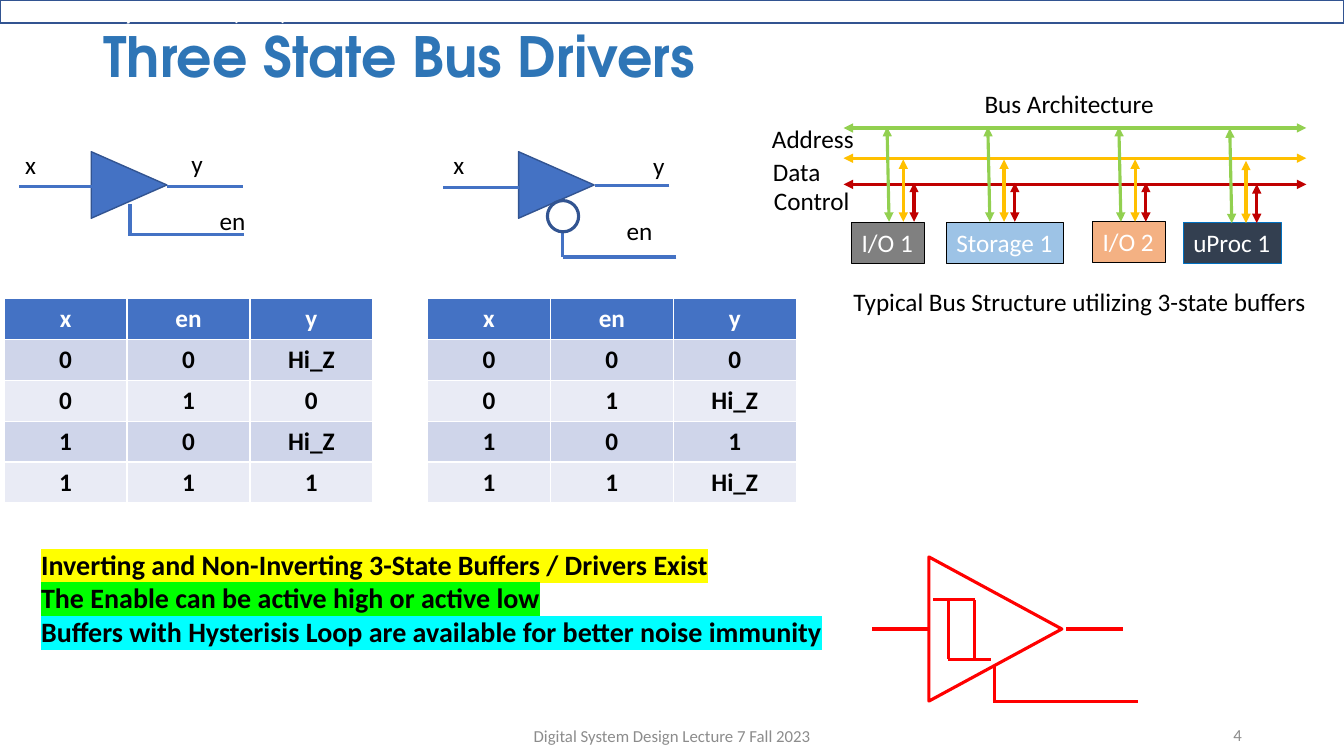
from copy import deepcopy

from lxml import etree
from pptx import Presentation
from pptx import util as u
from pptx.dml.color import RGBColor
from pptx.enum import shapes, text
from pptx.oxml.ns import qn

COLORS = {
    "white": "FFFFFF", "black": "000000", "title": "2E75B6", "muted": "8C8C8C",
    "blue": "4472C4", "outline": "325491", "band_dark": "CFD5EA", "band_light": "E9EBF5",
    "sky": "ABC0E4", "navy": "002060", "haze": "7E9ED6",
    "green": "92D050", "amber": "FFC000", "crimson": "C00000", "red": "FF0000",
    "gray": "808080", "slate": "333F50", "peach": "F4B183", "light_blue": "9DC3E6",
    "azure": "0070C0", "yellow_mark": "FFFF00", "green_mark": "00FF00", "cyan_mark": "00FFFF",
}
ALIGN = text.PP_ALIGN
ANCHOR = text.MSO_ANCHOR
SHAPE = shapes.MSO_SHAPE


def rgb(name):
    return RGBColor.from_string(COLORS[name])


def write(frame, content, size=18, color="black", bold=False, font="Calibri",
          align=ALIGN.LEFT, anchor=ANCHOR.TOP, wrap=False, spacing=None, marks=()):
    frame.word_wrap = wrap
    frame.vertical_anchor = anchor
    for index, line in enumerate(content.split("\n")):
        paragraph = frame.add_paragraph() if index else frame.paragraphs[0]
        paragraph.alignment = align
        if spacing:
            paragraph.line_spacing = spacing
        run = paragraph.add_run()
        run.text = line
        run.font.size, run.font.bold, run.font.name = u.Pt(size), bold, font
        run.font.color.rgb = rgb(color)
        if marks:
            highlight = etree.Element(qn("a:highlight"))
            etree.SubElement(highlight, qn("a:srgbClr"), val=COLORS[marks[index]])
            run.font._element.find(qn("a:solidFill")).addnext(highlight)


def add_text(slide, box, content, **style):
    shape = slide.shapes.add_textbox(*map(u.Pt, box))
    write(shape.text_frame, content, **style)


def add_shape(slide, kind, box, fill=None, line="outline", weight=1):
    shape = slide.shapes.add_shape(kind, *map(u.Pt, box))
    shape.shadow.inherit = False
    if fill:
        shape.fill.solid()
        shape.fill.fore_color.rgb = rgb(fill)
    else:
        shape.fill.background()
    shape.line.color.rgb = rgb(line)
    shape.line.width = u.Pt(weight)
    return shape


def add_triangle(slide, left, top, width, height, **style):
    shift = (width - height) / 2
    box = (left + shift, top - shift, height, width)
    add_shape(slide, SHAPE.ISOSCELES_TRIANGLE, box, **style).rotation = 90


def add_wire(slide, left, top, ends, color="blue", arrows=False):
    x1, y1, x2, y2 = ends
    points = (left + x1, top + y1, left + x2, top + y2)
    wire = slide.shapes.add_connector(shapes.MSO_CONNECTOR.STRAIGHT, *map(u.Pt, points))
    wire.line.color.rgb = rgb(color)
    wire.line.width = u.Pt(2.25)
    if arrows:
        for end in ("a:headEnd", "a:tailEnd"):
            etree.SubElement(wire.line._get_or_add_ln(), qn(end), type="triangle")
    etree.SubElement(wire._element.spPr, qn("a:effectLst"))


def add_header(slide, width, height):
    band = add_shape(slide, SHAPE.RECTANGLE, (0, 0, width, height))
    band.fill.gradient()
    band.fill.gradient_angle = 270
    stop_list = band._element.spPr.find(".//" + qn("a:gsLst"))
    stop_list.append(deepcopy(stop_list[-1]))
    stops = (("sky", 0.02), ("navy", 0.38), ("haze", 0.93))
    for stop, (color, position) in zip(band.fill.gradient_stops, stops):
        stop.color.rgb = rgb(color)
        stop.position = position
    etree.SubElement(stop_list[-1][0], qn("a:alpha"), val="64000")
    write(band.text_frame, "Embedded Systems Lab (EESL)", size=16, color="white",
          bold=True, anchor=ANCHOR.MIDDLE)


def add_truth_table(slide, left, top, outputs):
    rows = [("x", "en", "y")]
    rows += [(str(i // 2), str(i % 2), output) for i, output in enumerate(outputs)]
    box = (left, top, 263.3, 146.2)
    table = slide.shapes.add_table(len(rows), 3, *map(u.Pt, box)).table
    for r, row in enumerate(rows):
        fill = "blue" if r == 0 else ("band_dark" if r % 2 else "band_light")
        for c, value in enumerate(row):
            cell = table.cell(r, c)
            cell.fill.solid()
            cell.fill.fore_color.rgb = rgb(fill)
            write(cell.text_frame, value, bold=True, align=ALIGN.CENTER, wrap=True,
                  color="black" if r else "white")


def add_buffer(slide, left, top, wires, labels, bubble=None):
    add_triangle(slide, left, top, 54, 47.5, fill="blue")
    for ends in wires:
        add_wire(slide, left, top, ends)
    for name, width, x, y in labels:
        add_text(slide, (left + x, top + y, width, 29), name)
    if bubble:
        x, y, size = bubble
        add_shape(slide, SHAPE.OVAL, (left + x, top + y, size, size), weight=2.25)


def add_bus(slide, left, top):
    buses = (("Address", 73.4, -58.3, "green", 0),
             ("Data", 49, -57.6, "amber", 21.6),
             ("Control", 69.1, -56.9, "crimson", 40.3))
    for name, width, x, color, y in buses:
        add_wire(slide, left, top, (0, y, 330.5, y), color, arrows=True)
        add_text(slide, (left + x, top + y * 1.09 - 6.7, width, 29), name)
    devices = (("I/O 1", 5.8, 67.7, 51.8, "gray", "black", 31, 0),
               ("Storage 1", 73.4, 67.7, 83.5, "light_blue", "black", 103, 0),
               ("I/O 2", 177.9, 67, 51.8, "peach", "black", 196.6, 0),
               ("uProc 1", 242.7, 67.7, 69.8, "slate", "azure", 275.8, 1))
    for name, x, y, width, fill, line, tap, drop in devices:
        box = (left + x, top + y, width, 29)
        device = add_shape(slide, SHAPE.RECTANGLE, box, fill, line, 0.5)
        write(device.text_frame, name, color="white")
        taps = (("crimson", 19.3, 19.3, 39.2), ("amber", 11.6, 11.6, 22.5), ("green", 0, 1.5, -0.7))
        for color, start, end, height in taps:
            ends = (tap + start, height + drop, tap + end, 67 + drop)
            add_wire(slide, left, top, ends, color, arrows=True)
    add_text(slide, (left + 93.6, top - 31.7, 136.8, 29), "Bus Architecture")
    add_text(slide, (left, top + 109.4, 341.3, 29),
             "Typical Bus Structure utilizing 3-state buffers")


def add_hysteresis_buffer(slide, left, top):
    add_triangle(slide, left, top, 95, 103, line="red", weight=2.25)
    wires = ((3.2, 30.6, 32.7, 30.6), (14, 30.6, 14, 73.1), (32.7, 30.6, 32.7, 73.1),
             (44.3, 73.1, 14, 73.1), (-0.4, 51.5, -40.7, 51.5), (138.6, 51.5, 98.3, 51.5),
             (47.1, 77.4, 47.1, 103.3), (45.7, 103.3, 149.4, 103.3))
    for ends in wires:
        add_wire(slide, left, top, ends, "red")


def add_footer(slide, left, top):
    style = dict(size=12, color="muted", anchor=ANCHOR.MIDDLE, wrap=True)
    add_text(slide, (left, top, 324, 28.8), "Digital System Design Lecture 7 Fall 2023",
             align=ALIGN.CENTER, **style)
    add_text(slide, (left + 360, top - 0.7, 216, 28.8), "4", align=ALIGN.RIGHT, **style)


def main():
    presentation = Presentation()
    presentation.slide_width, presentation.slide_height = u.Pt(960), u.Pt(540)
    slide = presentation.slides.add_slide(presentation.slide_layouts[6])
    add_header(slide, 960, 16.6)
    add_text(slide, (67, 7.9, 483, 69.8), "Three State Bus Drivers", size=39.6,
             color="title", bold=True, font="TeX Gyre Adventor", anchor=ANCHOR.MIDDLE,
             wrap=True, spacing=0.9)
    add_truth_table(slide, 3, 213.1, ("Hi_Z", "0", "Hi_Z", "1"))
    add_truth_table(slide, 305.4, 213.1, ("0", "Hi_Z", "1", "Hi_Z"))
    add_buffer(slide, 65.2, 108.4,
               wires=((1.8, 24.8, -51.5, 24.8), (108.3, 24.8, 54.3, 24.8),
                      (109, 59.4, 28.4, 59.4), (27.7, 60, 27.7, 37)),
               labels=(("x", 22.3, -54.4, -5.4), ("y", 23, 64.4, -6.2), ("en", 33.1, 84.6, 34.9)))
    add_buffer(slide, 370.4, 108.4,
               wires=((107.7, 24.1, 54.4, 24.1), (0.4, 25.5, -53.6, 25.5),
                      (112.7, 75.2, 32.1, 75.2), (31.4, 75.2, 31.4, 57.2)),
               labels=(("x", 22.3, -53.6, -5.4), ("y", 23, 89, -4.7), ("en", 33.1, 70.2, 42.1)),
               bubble=(20.6, 34.9, 22.3))
    add_text(slide, (22.3, 387.4, 578.2, 79.9),
             "Inverting and Non-Inverting 3-State Buffers / Drivers Exist\n"
             "The Enable can be active high or active low\n"
             "Buffers with Hysterisis Loop are available for better noise immunity",
             size=20, bold=True, marks=("yellow_mark", "green_mark", "cyan_mark"))
    add_bus(slide, 602.6, 91.4)
    add_hysteresis_buffer(slide, 663.5, 397.8)
    add_footer(slide, 318.2, 511.2)
    presentation.save("out.pptx")


if __name__ == "__main__":
    main()
